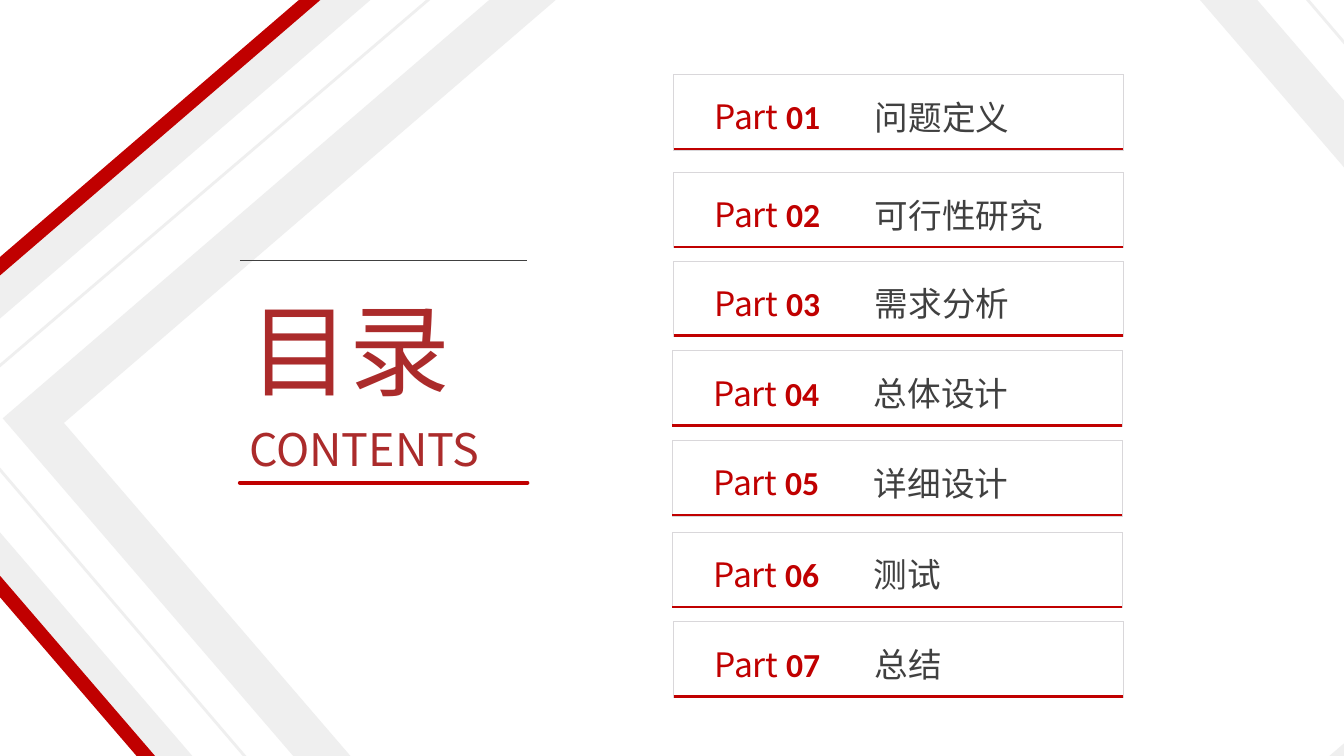
"""Build the contents slide: angled bands, a heading and seven numbered parts."""
import lxml.etree
import pptx
import pptx.dml.color
import pptx.enum.shapes
import pptx.enum.text
import pptx.oxml.ns
import pptx.util

Inches = pptx.util.Inches
Pt = pptx.util.Pt
qn = pptx.oxml.ns.qn
COLORS = {"red": "C00000", "heading": "AB2B2B", "band": "EFEFEF",
          "border": "D9D7DA", "text": "404040"}
FONT = "Noto Sans CJK SC"

presentation = pptx.Presentation()
presentation.slide_width = Inches(13.33)
presentation.slide_height = Inches(7.5)
slide = presentation.slides.add_slide(presentation.slide_layouts[5])


def style_line(shape, color, width):
    """Give a shape or connector a plain, sharp-cornered line."""
    shape.line.color.rgb = pptx.dml.color.RGBColor.from_string(COLORS[color])
    shape.line.width = Pt(width)
    lxml.etree.SubElement(shape.line._get_or_add_ln(), qn("a:miter"), lim="800000")
    lxml.etree.SubElement(shape._element.spPr, qn("a:effectLst"))


def style_text(paragraph, size, color, spacing):
    """Set the font for Latin and Chinese letters and the line spacing."""
    paragraph.line_spacing = spacing
    paragraph.font.size = Pt(size)
    paragraph.font.name = FONT
    paragraph.font.color.rgb = pptx.dml.color.RGBColor.from_string(COLORS[color])
    latin = paragraph.font._element.find(qn("a:latin"))
    latin.addnext(latin.makeelement(qn("a:ea"), {"typeface": FONT}))


bands = [
    (2.54, -0.99, 11.71, 11.12, 319.3, "band", 31),
    (1.95, -1.6, 12.89, 12.33, 319.5, "band", 2),
    (1.4, -2.14, 13.99, 13.42, 319.3, "band", 24),
    (1.24, -2.41, 14.45, 13.98, 319.3, "red", 10),
]
for left, top, width, height, rotation, color, weight in bands:
    band = slide.shapes.add_shape(
        pptx.enum.shapes.MSO_SHAPE.RECTANGLE,
        Inches(left), Inches(top), Inches(width), Inches(height))
    band.rotation = rotation
    band.fill.background()
    style_line(band, color, weight)

title = slide.shapes.title
title.left, title.top = Inches(2.37), Inches(2.5)
title.width, title.height = Inches(2.88), Inches(2.24)
title.text_frame.text = "目录\nCONTENTS"
title.text_frame.word_wrap = True
title.text_frame.auto_size = pptx.enum.text.MSO_AUTO_SIZE.NONE
title.text_frame.vertical_anchor = pptx.enum.text.MSO_ANCHOR.TOP
for paragraph, size in zip(title.text_frame.paragraphs, (72, 32)):
    paragraph.alignment = pptx.enum.text.PP_ALIGN.JUSTIFY
    style_text(paragraph, size, "heading", 1.25)

for y, color, weight, cap in [(2.58, "text", 0.75, "flat"), (4.79, "red", 3, "rnd")]:
    rule = slide.shapes.add_connector(
        pptx.enum.shapes.MSO_CONNECTOR.STRAIGHT,
        Inches(2.38), Inches(y), Inches(5.23), Inches(y))
    style_line(rule, color, weight)
    rule.line._get_or_add_ln().set("cap", cap)

parts = [
    ("问题定义", 6.68, 0.74), ("可行性研究", 6.68, 1.71), ("需求分析", 6.68, 2.59),
    ("总体设计", 6.67, 3.48), ("详细设计", 6.67, 4.37), ("测试", 6.67, 5.28),
    ("总结", 6.68, 6.17),
]
for number, (topic, left, top) in enumerate(parts, start=1):
    box = slide.shapes.add_shape(
        pptx.enum.shapes.MSO_SHAPE.RECTANGLE,
        Inches(left), Inches(top), Inches(4.46), Inches(0.75))
    box.fill.background()
    style_line(box, "border", 0.75)

    underline = slide.shapes.add_connector(
        pptx.enum.shapes.MSO_CONNECTOR.STRAIGHT,
        Inches(left), Inches(top + 0.74), Inches(left + 4.46), Inches(top + 0.74))
    style_line(underline, "red", 1.75)

    label = slide.shapes.add_textbox(
        Inches(left + 0.07), Inches(top + 0.05), Inches(1.72), Inches(0.53))
    label.text_frame.word_wrap = True
    label.text_frame.vertical_anchor = pptx.enum.text.MSO_ANCHOR.MIDDLE
    paragraph = label.text_frame.paragraphs[0]
    paragraph.alignment = pptx.enum.text.PP_ALIGN.CENTER
    style_text(paragraph, 24, "red", 1.5)
    paragraph.add_run().text = "Part "
    number_run = paragraph.add_run()
    number_run.text = f"{number:02d}"
    number_run.font.name = "Calibri"
    number_run.font.bold = True

    topic_box = slide.shapes.add_textbox(
        Inches(left + 1.9), Inches(top + 0.07), Inches(2.2), Inches(0.56))
    topic_box.text_frame.word_wrap = True
    topic_box.text_frame.text = topic
    style_text(topic_box.text_frame.paragraphs[0], 24, "text", 1.25)

presentation.save("out.pptx")
